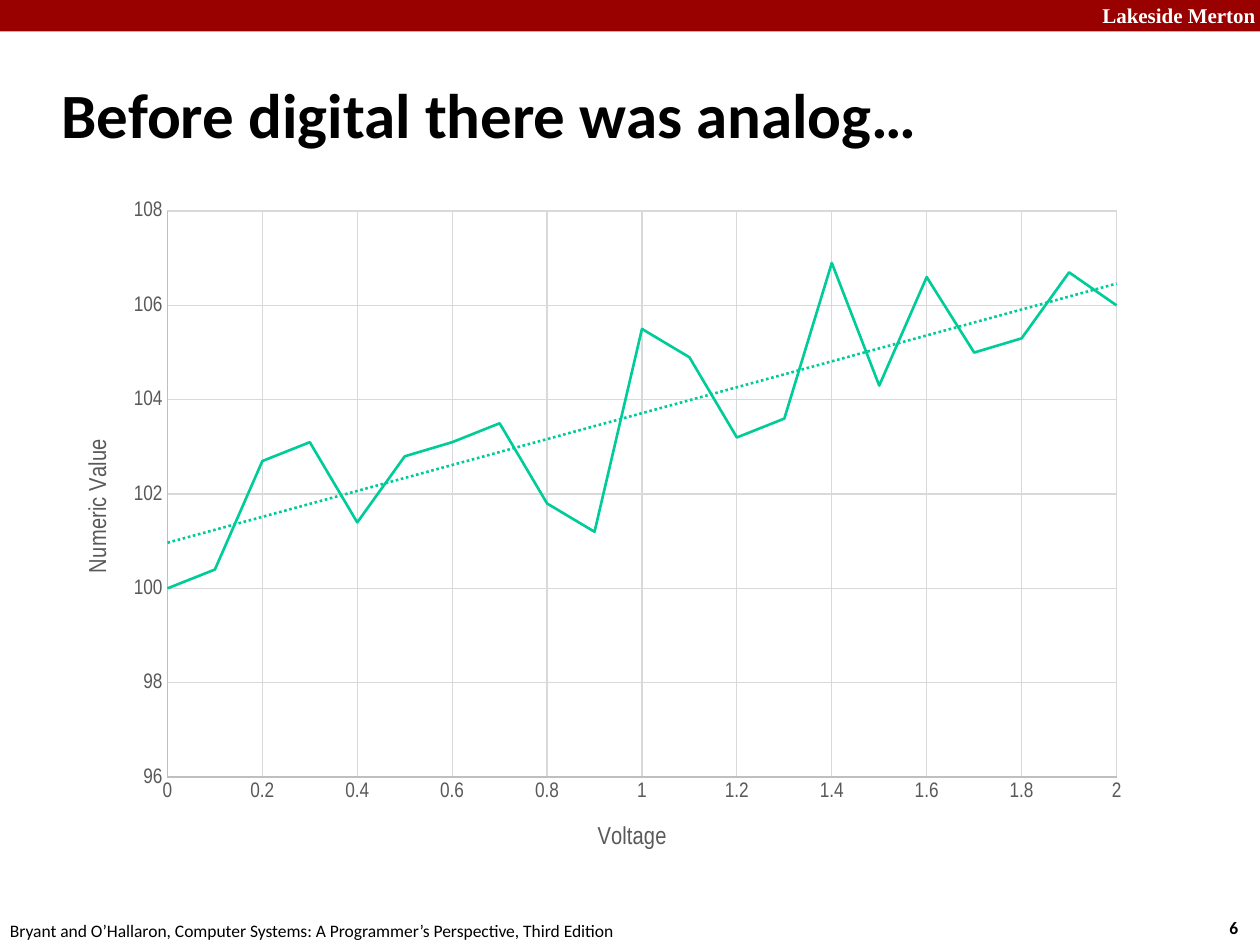
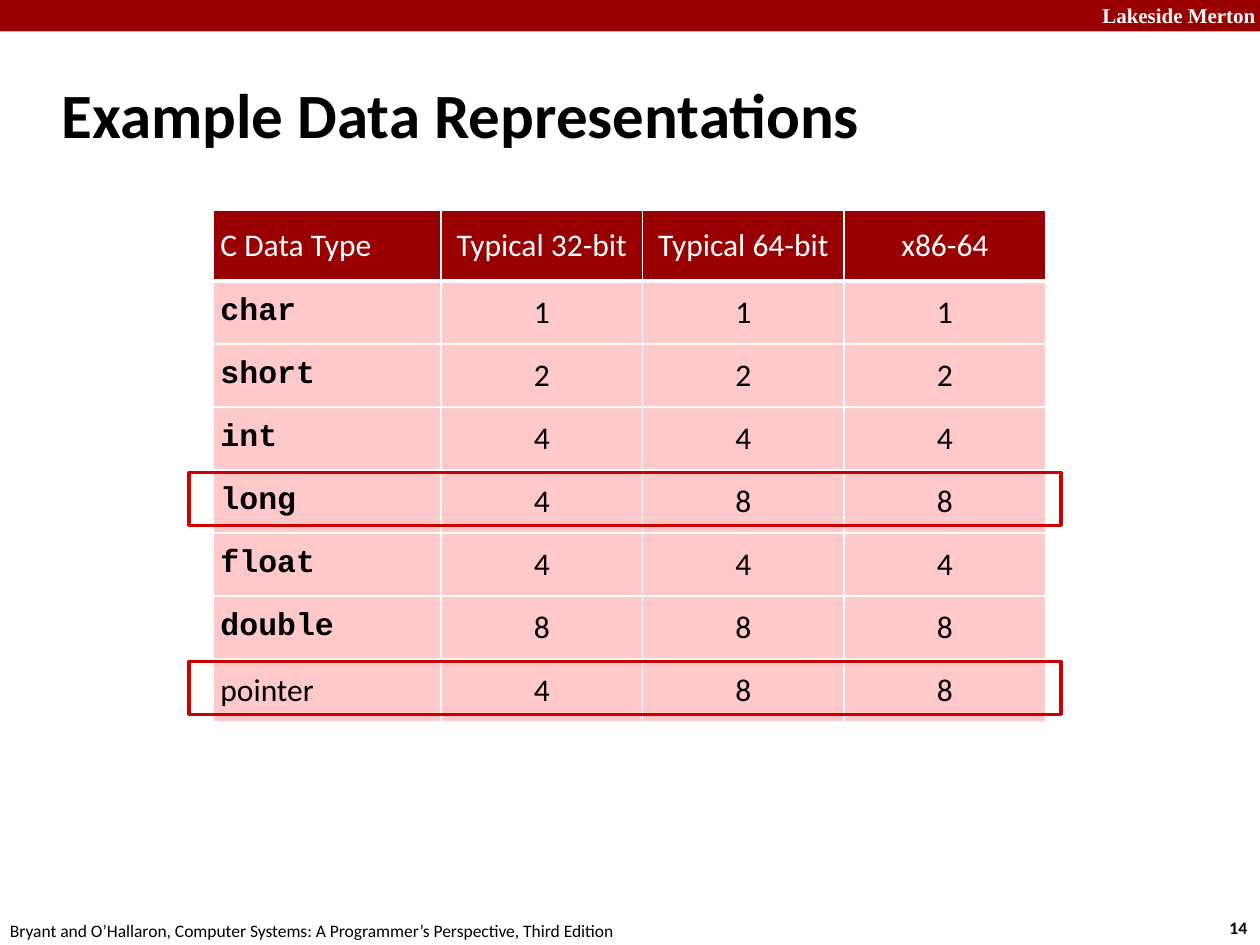
from pptx import Presentation
from pptx.chart.data import XyChartData
from pptx.dml.color import RGBColor as RGB
from pptx.enum.chart import XL_CHART_TYPE as CT, XL_TICK_MARK as TICK
from pptx.enum.dml import MSO_LINE
from pptx.enum.shapes import MSO_SHAPE as SHAPE
from pptx.enum.text import MSO_ANCHOR as ANCHOR, MSO_AUTO_SIZE as AUTO, PP_ALIGN as ALIGN
from pptx.oxml import parse_xml
from pptx.oxml.ns import nsdecls, qn
from pptx.util import Pt

THEME = {
    "band": "990000", "head": "980002", "cell": "FFC8C9", "mark": "CC0000",
    "rule": "FFFFFF", "series": "00CC99", "axis": "BFBFBF", "grid": "D9D9D9",
    "title": ({"name": "Calibri", "size": Pt(36), "bold": True}, "000000"),
    "school": ({"name": "Times New Roman", "size": Pt(12), "bold": True}, "FFFFFF"),
    "number": ({"name": "Calibri", "size": Pt(10), "bold": True}, "000000"),
    "footer": ({"name": "Calibri", "size": Pt(10), "bold": False}, "000000"),
    "th": ({"name": "Calibri", "size": Pt(18), "bold": False}, "FFFFFF"),
    "td": ({"name": "Calibri", "size": Pt(18), "bold": False}, "000000"),
    "code": ({"name": "Courier New", "size": Pt(18), "bold": True}, "000000"),
    "chart": ({"name": "Arial Narrow", "size": Pt(10), "bold": False}, "000000"),
    "tick": ({"name": "Arial Narrow", "size": Pt(12), "bold": False}, "595959"),
    "axis title": ({"name": "Arial Narrow", "size": Pt(14), "bold": False}, "595959"),
}


def style(font, key):
    values, colour = THEME[key]
    for name, value in values.items():
        setattr(font, name, value)
    font.color.rgb = RGB.from_string(colour)


def place(parent, index, **edges):
    for old in parent.findall(qn("c:layout")):
        parent.remove(old)
    inner = '<c:layoutTarget val="inner"/>' if "w" in edges else ""
    modes = '<c:xMode val="edge"/><c:yMode val="edge"/>'
    sizes = "".join(f'<c:{k} val="{v}"/>' for k, v in edges.items())
    parent.insert(index, parse_xml(
        f'<c:layout {nsdecls("c")}><c:manualLayout>{inner}{modes}{sizes}'
        '</c:manualLayout></c:layout>'))


prs = Presentation()
prs.slide_width, prs.slide_height = Pt(720), Pt(540)

slides = []
for title, number in [("Before digital there was analog…", "6"),
                      ("Example Data Representations", "14")]:
    s = prs.slides.add_slide(prs.slide_layouts[5])
    slides.append(s)

    band = s.shapes.add_shape(SHAPE.RECTANGLE, 0, 0, prs.slide_width, Pt(18))
    band.shadow.inherit = False
    band.fill.solid()
    band.fill.fore_color.rgb = RGB.from_string(THEME["band"])
    band.line.fill.background()

    for text, key, box, wrap, align in [
        ("Lakeside Merton", "school", (622, -2.2, 102.6, 21.6), True, ALIGN.RIGHT),
        (number, "number", (695.5, 520.6, 26.6, 19.4), False, ALIGN.LEFT),
        ("Bryant and O’Hallaron, Computer Systems: A Programmer’s Perspective, Third Edition",
         "footer", (-1.4, 522, 365.8, 19.4), False, ALIGN.LEFT),
    ]:
        sp = s.shapes.add_textbox(*map(Pt, box))
        tf = sp.text_frame
        tf.word_wrap = wrap
        p = tf.paragraphs[0]
        p.alignment = align
        r = p.add_run()
        r.text = text
        style(r.font, key)

    sp = s.shapes.title
    for name, value in zip(("left", "top", "width", "height"), (28, 34.6, 597.6, 59.8)):
        setattr(sp, name, Pt(value))
    tf = sp.text_frame
    for name, value in {"word_wrap": True, "auto_size": AUTO.NONE,
                        "vertical_anchor": ANCHOR.MIDDLE}.items():
        setattr(tf, name, value)
    p = tf.paragraphs[0]
    p.alignment = ALIGN.LEFT
    pPr = p._p.get_or_add_pPr()
    pPr.set("marL", str(Pt(9)))
    pPr.set("indent", str(Pt(-9)))
    r = p.add_run()
    r.text = title
    style(r.font, "title")

analog, types = slides

readings = [100, 100.4, 102.7, 103.1, 101.4, 102.8, 103.1, 103.5, 101.8, 101.2, 105.5,
            104.9, 103.2, 103.6, 106.9, 104.3, 106.6, 105, 105.3, 106.7, 106]
data = XyChartData()
points = data.add_series("Series 1")
for i, reading in enumerate(readings):
    points.add_data_point(i / 10, reading)
chart = analog.shapes.add_chart(CT.XY_SCATTER_LINES_NO_MARKERS, Pt(31), Pt(107.3),
                                Pt(622), Pt(391.7), data).chart
chart.has_legend = False
chart.has_title = False
style(chart.font, "chart")
place(chart._chartSpace.chart.plotArea, 0, x=0.104, y=0.034, w=0.872, h=0.826)

for axis, title, low, high, unit, rot, x, y in [
    (chart.category_axis, "Voltage", 0, 2, 0.2, 0, 0.495, 0.92),
    (chart.value_axis, "Numeric Value", 96, 108, 2, -5400000, 0.024, 0.36),
]:
    for name, value in {"minimum_scale": low, "maximum_scale": high, "major_unit": unit,
                        "has_major_gridlines": True, "major_tick_mark": TICK.NONE,
                        "minor_tick_mark": TICK.NONE}.items():
        setattr(axis, name, value)
    for line, key in [(axis.format.line, "axis"), (axis.major_gridlines.format.line, "grid")]:
        line.width = Pt(0.75)
        line.color.rgb = RGB.from_string(THEME[key])
    style(axis.tick_labels.font, "tick")
    tf = axis.axis_title.text_frame
    tf._txBody.bodyPr.set("rot", str(rot))
    r = tf.paragraphs[0].add_run()
    r.text = title
    style(r.font, "axis title")
    place(axis.axis_title._element, 1, x=x, y=y)

series = chart.plots[0].series[0]
series.smooth = False
chart.plots[0].vary_by_categories = False
series.format.line.width = Pt(1.5)
series.format.line.color.rgb = RGB.from_string(THEME["series"])
series._element.find(qn("c:xVal")).addprevious(parse_xml(
    f'<c:trendline {nsdecls("c", "a")}><c:spPr><a:ln w="{Pt(1.5)}"><a:solidFill>'
    f'<a:srgbClr val="{THEME["series"]}"/></a:solidFill><a:prstDash val="sysDot"/></a:ln>'
    '</c:spPr><c:trendlineType val="linear"/><c:dispRSqr val="0"/><c:dispEq val="0"/>'
    '</c:trendline>'))

rows = [
    ("C Data Type", "Typical 32-bit", "Typical 64-bit", "x86-64"),
    ("char", 1, 1, 1),
    ("short", 2, 2, 2),
    ("int", 4, 4, 4),
    ("long", 4, 8, 8),
    ("float", 4, 4, 4),
    ("double", 8, 8, 8),
    ("pointer", 4, 8, 8),
]
top, head_h, row_h = 120.2, 40.3, 36
table = types.shapes.add_table(len(rows), 4, Pt(121.7), Pt(top), Pt(475.9),
                               Pt(head_h + 7 * row_h)).table
table.first_row = table.horz_banding = False
for j, width in enumerate([130.3, 115.2, 115.2, 115.2]):
    table.columns[j].width = Pt(width)
for i, row in enumerate(rows):
    table.rows[i].height = Pt(row_h if i else head_h)
    for j, value in enumerate(row):
        cell = table.cell(i, j)
        for side in ("left", "right", "top", "bottom"):
            setattr(cell, f"margin_{side}", Pt(4.3))
        cell.vertical_anchor = ANCHOR.MIDDLE
        cell.fill.solid()
        cell.fill.fore_color.rgb = RGB.from_string(THEME["cell" if i else "head"])
        p = cell.text_frame.paragraphs[0]
        p.alignment = ALIGN.CENTER if j else ALIGN.LEFT
        r = p.add_run()
        r.text = str(value)
        style(r.font, "th" if i == 0 else "code" if j == 0 and value != "pointer" else "td")
        for k, edge in enumerate("LRTB"):
            thick = (i, edge) in [(0, "B"), (1, "T")]
            cell._tc.get_or_add_tcPr().insert(k, parse_xml(
                f'<a:ln{edge} {nsdecls("a")} w="{Pt(3 if thick else 1)}"><a:solidFill>'
                f'<a:srgbClr val="{THEME["rule"]}"/></a:solidFill></a:ln{edge}>'))

for i, row in enumerate(rows):
    if row[0] in ("long", "pointer"):
        mark = types.shapes.add_shape(SHAPE.RECTANGLE, Pt(108),
                                      Pt(top + head_h + (i - 1) * row_h + 1.5),
                                      Pt(498.2), Pt(30.2))
        mark.shadow.inherit = False
        mark.fill.background()
        mark.line.width = Pt(2)
        mark.line.color.rgb = RGB.from_string(THEME["mark"])
        mark.line.dash_style = MSO_LINE.SOLID

prs.save("out.pptx")
